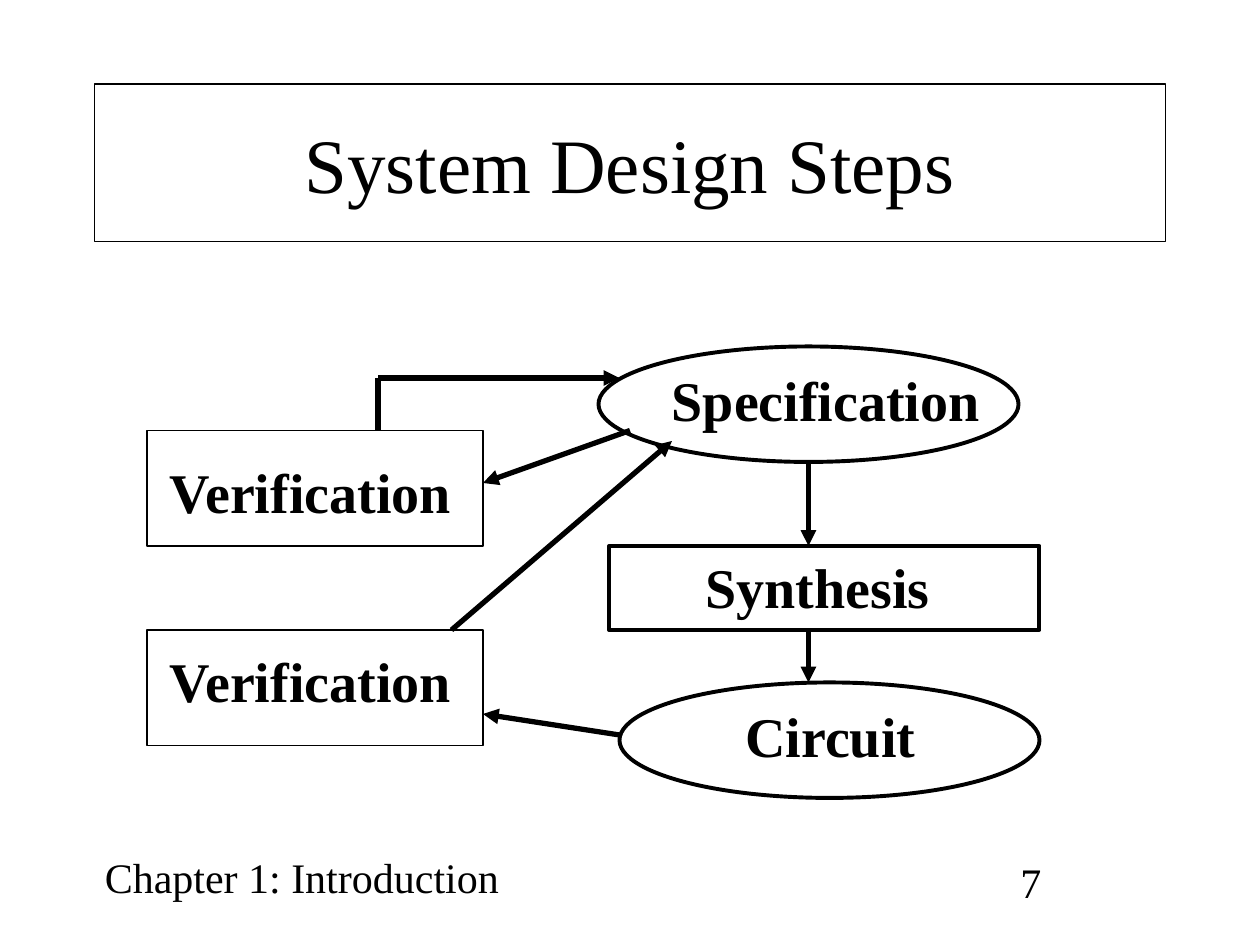
import pptx
import pptx.util
import pptx.dml.color
import pptx.enum.shapes
import pptx.enum.text
from lxml import etree

COLORS = {"ink": "000000"}
FONT = "Times New Roman"
UNIT = pptx.util.Inches(1) / 12  # the grid has 120 columns and 90 rows
RECTANGLE = pptx.enum.shapes.MSO_SHAPE.RECTANGLE
OVAL = pptx.enum.shapes.MSO_SHAPE.OVAL


def grid(*cells):
    return [round(cell * UNIT) for cell in cells]


def ink():
    return pptx.dml.color.RGBColor.from_string(COLORS["ink"])


def set_line(line, width):
    line.color.rgb = ink()
    line.width = pptx.util.Pt(width)


def write(text_frame, text, size, bold=False):
    text_frame.text = text
    font = text_frame.paragraphs[0].runs[0].font
    font.name = FONT
    font.size = pptx.util.Pt(size)
    font.bold = bold
    font.color.rgb = ink()


def add_title(slide, text):
    title = slide.shapes.title
    title.left, title.top, title.width, title.height = grid(9, 8, 102, 15)
    set_line(title.line, 1)
    frame = title.text_frame
    write(frame, text, 44)
    frame.auto_size = pptx.enum.text.MSO_AUTO_SIZE.NONE
    frame.vertical_anchor = pptx.enum.text.MSO_ANCHOR.MIDDLE
    frame.paragraphs[0].alignment = pptx.enum.text.PP_ALIGN.CENTER


def add_step(slide, kind, cells, line_width):
    step = slide.shapes.add_shape(kind, *grid(*cells))
    step.shadow.inherit = False
    step.fill.background()
    set_line(step.line, line_width)


def add_text(slide, text, cells, size, bold=False):
    box = slide.shapes.add_textbox(*grid(*cells))
    box.text_frame.word_wrap = False
    write(box.text_frame, text, size, bold)


def add_flow(slide, start, end, arrow=True):
    flow = slide.shapes.add_connector(
        pptx.enum.shapes.MSO_CONNECTOR.STRAIGHT, *grid(*start, *end))
    set_line(flow.line, 3)
    if arrow:
        etree.SubElement(flow.line._get_or_add_ln(),
                         pptx.oxml.ns.qn("a:tailEnd"), type="triangle")
    etree.SubElement(flow._element.spPr, pptx.oxml.ns.qn("a:effectLst"))


def main():
    deck = pptx.Presentation()
    deck.slide_width, deck.slide_height = grid(120, 90)
    slide = deck.slides.add_slide(deck.slide_layouts[5])

    add_text(slide, "Chapter 1: Introduction", (8.8, 80.55, 40, 6), 24)
    add_text(slide, "7", (96, 81, 14, 6), 24)
    add_title(slide, "System Design Steps")

    for kind, cells, line_width in (
            (OVAL, (57, 33, 40, 11), 2.25),
            (RECTANGLE, (58, 52, 41, 8), 2.25),
            (OVAL, (59, 65, 40, 11), 2.25),
            (RECTANGLE, (14, 41, 32, 11), 0.75),
            (RECTANGLE, (14, 60, 32, 11), 0.75)):
        add_step(slide, kind, cells, line_width)

    for label, left, top, width in (
            ("Verification", 15, 43, 30),
            ("Verification", 15, 61, 30),
            ("Specification", 62.8, 34.25, 33),
            ("Circuit", 69.8, 66.25, 19),
            ("Synthesis", 66, 52, 24)):
        add_text(slide, label, (left, top, width, 7.7), 32, bold=True)

    add_flow(slide, (36, 41), (36, 36), arrow=False)
    for start, end in (
            ((77, 44), (77, 52)),
            ((77, 60), (77, 65)),
            ((60, 41), (46, 46)),
            ((36, 36), (59, 36)),
            ((59, 70), (46, 68)),
            ((43, 60), (64, 42))):
        add_flow(slide, start, end)

    deck.save("out.pptx")


if __name__ == "__main__":
    main()
